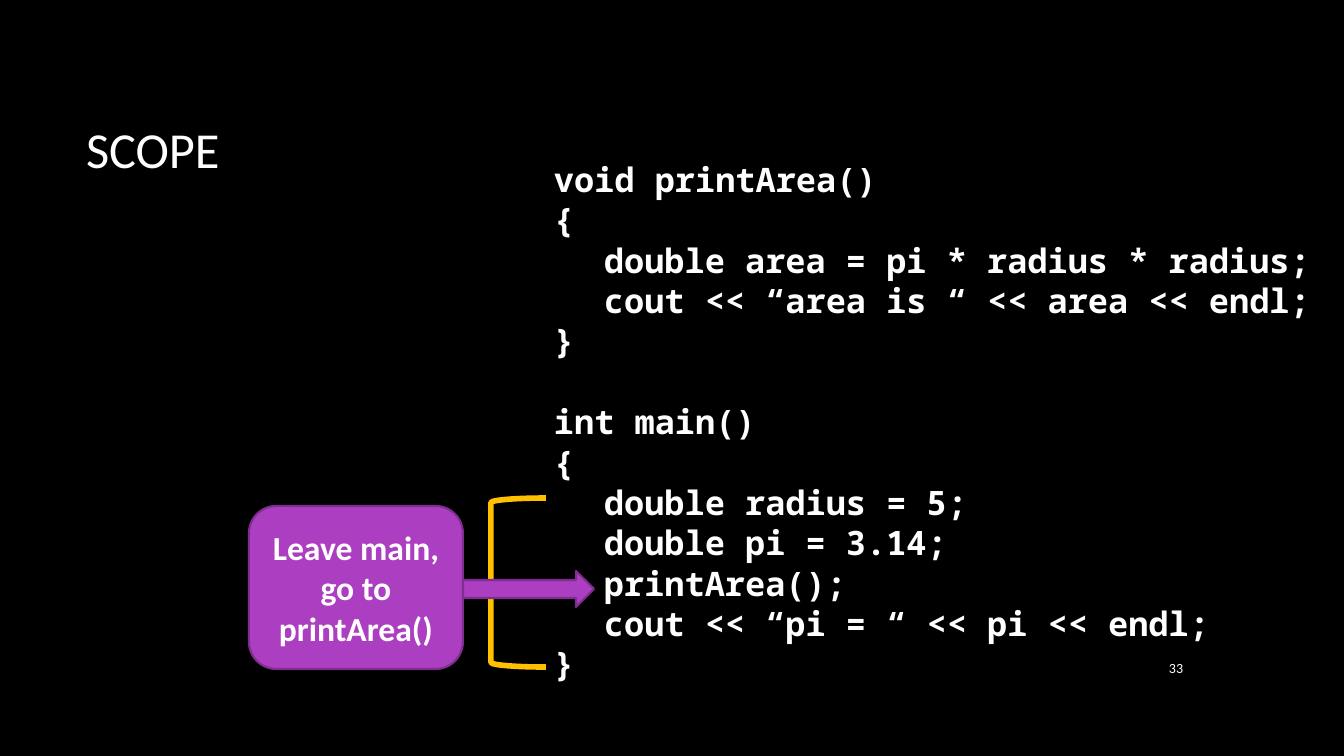
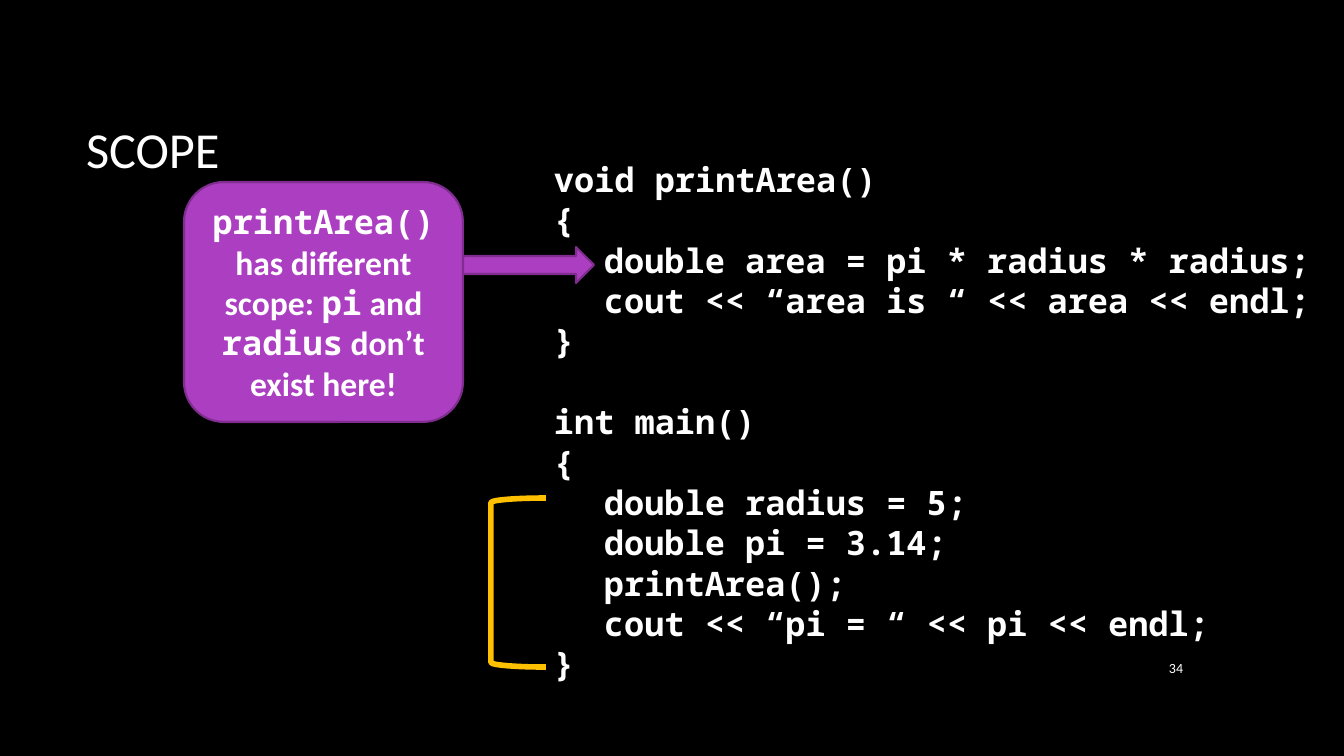
from lxml import etree
from pptx import Presentation
from pptx.dml.color import RGBColor
from pptx.enum.shapes import MSO_SHAPE
from pptx.enum.text import MSO_ANCHOR, MSO_AUTO_SIZE, PP_ALIGN
from pptx.oxml.ns import qn
from pptx.util import Emu, Pt

BRACKET = MSO_SHAPE.LEFT_BRACKET
ARROW = MSO_SHAPE.RIGHT_ARROW
ROUNDED = MSO_SHAPE.ROUNDED_RECTANGLE
MIDDLE = MSO_ANCHOR.MIDDLE
LEFT, CENTER, RIGHT = PP_ALIGN.LEFT, PP_ALIGN.CENTER, PP_ALIGN.RIGHT
GROW, FIXED = MSO_AUTO_SIZE.SHAPE_TO_FIT_TEXT, MSO_AUTO_SIZE.NONE

EMU_PER_PX = 914400 / 100.8
BLACK, WHITE = "000000", "FFFFFF"
PURPLE, DARK_PURPLE, GOLD = "AC3EC1", "7F2E8F", "FFC000"
SANS, MONO = "Calibri", "Noto Sans Mono"
TITLE_ONLY = 5
LINE_GAP = 29

FUNCTIONS = [
    [
        "void printArea()",
        "{",
        "\tdouble area = pi * radius * radius;",
        "\tcout << “area is “ << area << endl;",
        "}",
    ],
    [
        "int main()",
        "{",
        "\tdouble radius = 5;",
        "\tdouble pi = 3.14;",
        "\tprintArea();",
        "\tcout << “pi = “ << pi << endl;",
        "}",
    ],
]

PAGES = [
    {
        "number": "33",
        "arrow_top": 571,
        "callout": (249, 506, 214, 163),
        "spans": [("Leave main, go to printArea()", SANS)],
    },
    {
        "number": "34",
        "arrow_top": 247,
        "callout": (184, 182, 279, 240),
        "spans": [
            ("printArea() ", MONO),
            ("has different scope: ", SANS),
            ("pi", MONO),
            (" and ", SANS),
            ("radius", MONO),
            (" don’t exist here!", SANS),
        ],
    },
]


def px(length):
    """Turn pixels into EMU."""
    return Emu(round(length * EMU_PER_PX))


def color(code):
    """Turn a hex string into a colour."""
    return RGBColor.from_string(code)


class ScopeDeck:
    """Holds the shared style and the current slide."""

    def __init__(self):
        """Start a black widescreen deck."""
        self.deck = Presentation()
        self.deck.slide_width = px(1344)
        self.deck.slide_height = px(756)
        fill = self.deck.slide_master.background.fill
        fill.solid()
        fill.fore_color.rgb = color(BLACK)
        self.page = None

    def span(self, para, text, size, font=SANS, bold=False):
        """Add one white run to a paragraph."""
        span = para.add_run()
        span.text = text
        span.font.name = font
        span.font.size = Pt(size)
        span.font.bold = bold
        span.font.color.rgb = color(WHITE)

    def add_page(self, title):
        """Add a slide and fill its title placeholder."""
        layout = self.deck.slide_layouts[TITLE_ONLY]
        self.page = self.deck.slides.add_slide(layout)
        box = self.page.shapes.title
        box.left, box.top, box.width, box.height = map(px, (76, 68, 1117, 160))
        frame = box.text_frame
        frame.auto_size = FIXED
        frame.vertical_anchor = MIDDLE
        para = frame.paragraphs[0]
        para.alignment = LEFT
        self.span(para, title, 36)

    def number(self, text):
        """Add the page number."""
        box = self.page.shapes.add_textbox(*map(px, (1132, 647, 61, 41)))
        frame = box.text_frame
        frame.word_wrap = True
        frame.vertical_anchor = MIDDLE
        para = frame.paragraphs[0]
        para.alignment = RIGHT
        self.span(para, text, 10)

    def code(self, functions):
        """Add the code listing with a gap between functions."""
        box = self.page.shapes.add_textbox(*map(px, (544, 154, 782, 539)))
        frame = box.text_frame
        frame.word_wrap = False
        frame.auto_size = GROW
        para = None
        for function in functions:
            for line in function:
                starts_later = para is not None and line == function[0]
                para = frame.add_paragraph() if para else frame.paragraphs[0]
                if starts_later:
                    para.space_before = Pt(LINE_GAP)
                self.indent_stop(para)
                self.span(para, line, 24, MONO, bold=True)

    def indent_stop(self, para):
        """Give a paragraph the tab stop of the code indent."""
        stops = etree.SubElement(para._p.get_or_add_pPr(), qn("a:tabLst"))
        etree.SubElement(stops, qn("a:tab"), pos=str(px(50)), algn="l")

    def shape(self, kind, area, line, weight, fill=None):
        """Add a flat preset shape."""
        shape = self.page.shapes.add_shape(kind, *map(px, area))
        shape.shadow.inherit = False
        shape.line.color.rgb = color(line)
        shape.line.width = Pt(weight)
        if fill:
            shape.fill.solid()
            shape.fill.fore_color.rgb = color(fill)
        else:
            shape.fill.background()
        return shape

    def bracket(self):
        """Mark the body of main."""
        self.shape(BRACKET, (491, 498, 55, 169), GOLD, 4)

    def arrow(self, top):
        """Point from the callout to a code line."""
        self.shape(ARROW, (463, top, 131, 36), DARK_PURPLE, 1.5, PURPLE)

    def callout(self, area, spans):
        """Add the purple explanation box."""
        box = self.shape(ROUNDED, area, DARK_PURPLE, 1.5, PURPLE)
        frame = box.text_frame
        frame.word_wrap = True
        frame.vertical_anchor = MIDDLE
        para = frame.paragraphs[0]
        para.alignment = CENTER
        for text, font in spans:
            self.span(para, text, 24, font, bold=True)


def main():
    """Build and save the slides."""
    scope = ScopeDeck()
    for content in PAGES:
        scope.add_page("SCOPE")
        scope.number(content["number"])
        scope.code(FUNCTIONS)
        scope.bracket()
        scope.arrow(content["arrow_top"])
        scope.callout(content["callout"], content["spans"])
    scope.deck.save("out.pptx")


if __name__ == "__main__":
    main()
